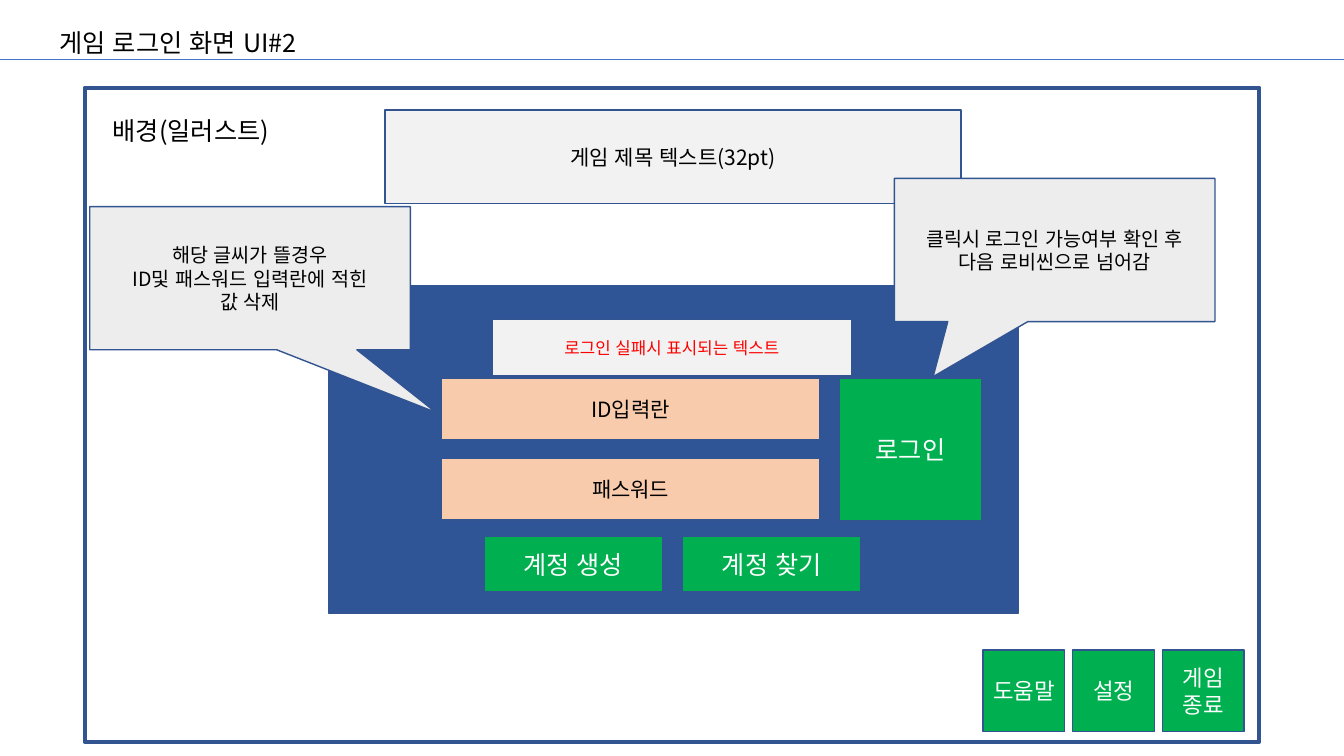
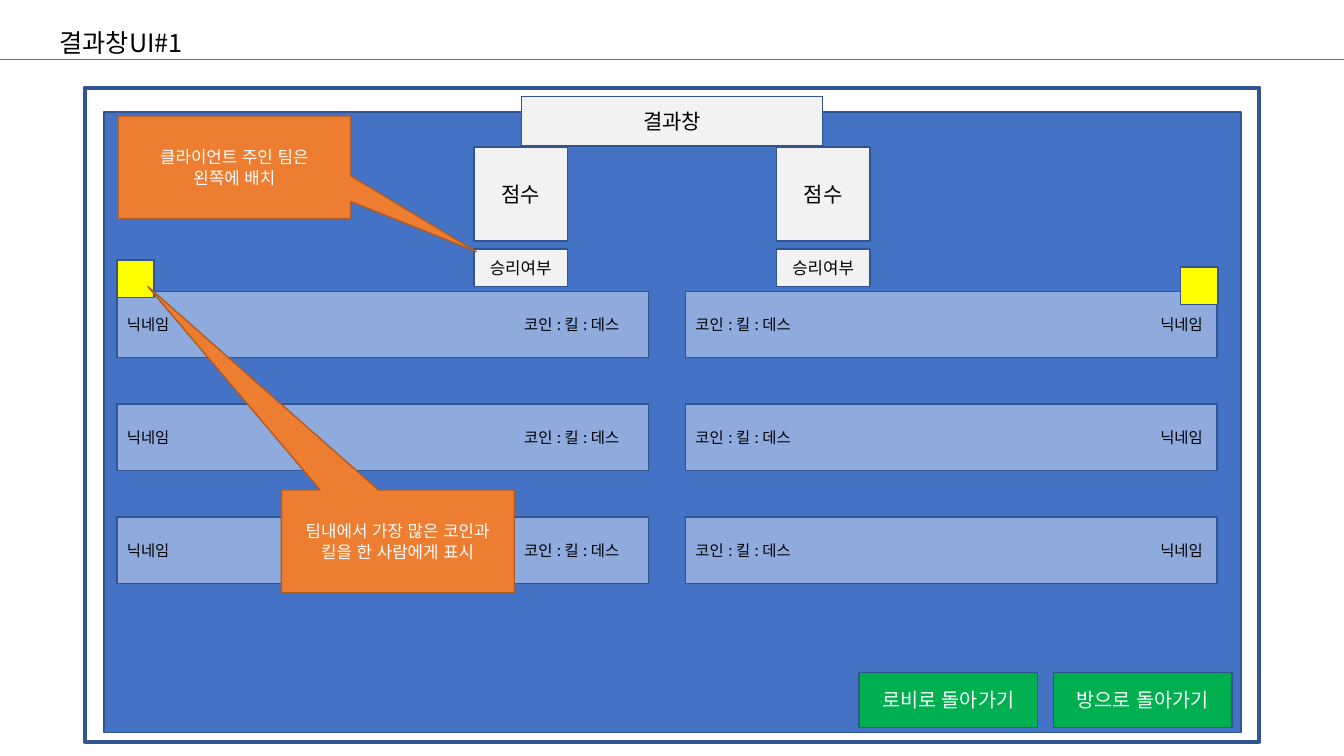
from dataclasses import dataclass
from typing import Optional

from lxml import etree
from pptx import Presentation
from pptx.dml.color import RGBColor
from pptx.enum.lang import MSO_LANGUAGE_ID
from pptx.enum.shapes import MSO_CONNECTOR, MSO_SHAPE
from pptx.enum.text import MSO_ANCHOR, MSO_AUTO_SIZE, PP_ALIGN
from pptx.oxml.ns import qn
from pptx.util import Inches, Pt

RECT, CALLOUT = MSO_SHAPE.RECTANGLE, MSO_SHAPE.RECTANGULAR_CALLOUT
STRAIGHT = MSO_CONNECTOR.STRAIGHT
TOP, MIDDLE = MSO_ANCHOR.TOP, MSO_ANCHOR.MIDDLE
LEFT, CENTER = PP_ALIGN.LEFT, PP_ALIGN.CENTER
NO_FIT = MSO_AUTO_SIZE.NONE
KOREAN = MSO_LANGUAGE_ID.KOREAN

FONT = "Noto Sans CJK KR"
COLORS = {
    "white": "FFFFFF", "black": "000000", "red": "FF0000", "yellow": "FFFF00",
    "outline": "325491", "rule": "4472C4", "panel": "4472C4", "login": "2F5597",
    "row": "8FAADC", "label": "F2F2F2", "note": "EDEDED", "input": "F8CBAD",
    "button": "00B050", "orange": "ED7D31", "orange_line": "AF5C24",
}


@dataclass
class Box:
    """A filled rectangle, or a callout when it has a pointer."""
    x: float
    y: float
    w: float
    h: float
    fill: str
    text: str = ""
    size: float = 15
    color: str = "black"
    align: PP_ALIGN = CENTER
    line: str = "outline"
    line_width: float = 1
    pointer: Optional[tuple[float, float]] = None


def rgb(name: str) -> RGBColor:
    return RGBColor.from_string(COLORS[name])


def write(tf, text: str, size: float, color: str, align: PP_ALIGN, anchor: MSO_ANCHOR) -> None:
    tf.word_wrap = True
    tf.auto_size = NO_FIT
    tf.vertical_anchor = anchor
    for i, words in enumerate(text.split("\n")):
        p = tf.add_paragraph() if i else tf.paragraphs[0]
        p.alignment = align
        p.line_spacing = 1.0
        r = p.add_run()
        r.text = words
        r.font.name = FONT
        r.font.size = Pt(size)
        r.font.color.rgb = rgb(color)
        r.font.language_id = KOREAN
        etree.SubElement(r.font._element, qn("a:ea"), typeface=FONT)


def draw(s, box: Box) -> None:
    kind = CALLOUT if box.pointer else RECT
    sp = s.shapes.add_shape(kind, Inches(box.x), Inches(box.y), Inches(box.w), Inches(box.h))
    sp.shadow.inherit = False
    sp.fill.solid()
    sp.fill.fore_color.rgb = rgb(box.fill)
    sp.line.color.rgb = rgb(box.line)
    sp.line.width = Pt(box.line_width)
    if box.pointer:
        sp.adjustments[0], sp.adjustments[1] = box.pointer
    if box.text:
        write(sp.text_frame, box.text, box.size, box.color, box.align, MIDDLE)


def label(s, x: float, y: float, w: float, h: float, text: str, size: float) -> None:
    sp = s.shapes.add_textbox(Inches(x), Inches(y), Inches(w), Inches(h))
    write(sp.text_frame, text, size, "black", LEFT, TOP)


def button(x: float, y: float, w: float, h: float, text: str, size: float) -> Box:
    return Box(x, y, w, h, "button", text, size, "white")


def note(x: float, y: float, text: str, pointer: tuple[float, float]) -> Box:
    return Box(x, y, 3.18, 1.42, "note", text, 14, pointer=pointer)


def orange_note(x: float, y: float, text: str, pointer: tuple[float, float]) -> Box:
    return Box(x, y, 2.31, 1.02, "orange", text, 12, "white",
               line="orange_line", pointer=pointer)


def new_slide(prs, title: str, title_width: float):
    """Add a slide with the shared title, rule and screen frame."""
    s = prs.slides.add_slide(prs.slide_layouts[5])
    sp = s.shapes.title
    sp.left, sp.top = Inches(0.49), Inches(0.22)
    sp.width, sp.height = Inches(title_width), Inches(0.4)
    write(sp.text_frame, title, 18, "black", LEFT, TOP)
    draw(s, Box(0.84, 0.87, 11.65, 6.49, "white", line_width=3))
    rule = s.shapes.add_connector(STRAIGHT, 0, Inches(0.59), Inches(13.33), Inches(0.59))
    rule.line.color.rgb = rgb("rule")
    rule.line.width = Pt(0.5)
    etree.SubElement(rule._element.spPr, qn("a:effectLst"))
    return s


def login_slide(prs) -> None:
    s = new_slide(prs, "게임 로그인 화면 UI#2", 2.77)
    label(s, 1.02, 1.09, 1.87, 0.4, "배경(일러스트)", 18)

    # Login panel and game title
    draw(s, Box(3.26, 2.83, 6.84, 3.25, "login"))
    draw(s, Box(3.82, 1.09, 5.71, 0.93, "label", "게임 제목 텍스트(32pt)"))
    draw(s, button(8.32, 3.75, 1.42, 1.42, "로그인", 18))
    for i, text in enumerate(("ID입력란", "패스워드")):
        draw(s, Box(4.38, 3.75 + 0.8 * i, 3.75, 0.61, "input", text))
    for i, text in enumerate(("계정 생성", "계정 찾기")):
        draw(s, button(4.8 + 1.97 * i, 5.32, 1.77, 0.55, text, 18))

    # Corner menu
    for i, text in enumerate(("도움말", "설정", "게임\n종료")):
        draw(s, button(9.75 + 0.89 * i, 6.45, 0.81, 0.81, text, 16))

    # Failure message and notes
    draw(s, note(8.87, 1.77, "클릭시 로그인 가능여부 확인 후\n다음 로비씬으로 넘어감", (-0.379, 0.885)))
    draw(s, Box(4.88, 3.17, 3.57, 0.56, "label", "로그인 실패시 표시되는 텍스트", 12, "red"))
    draw(s, note(0.89, 2.05, "해당 글씨가 뜰경우\nID및 패스워드 입력란에 적힌\n값 삭제", (0.58, 0.938)))


def result_slide(prs) -> None:
    s = new_slide(prs, "결과창UI#1", 1.5)
    nickname, stats = "닉네임", "코인 : 킬 : 데스"

    # Result panel
    draw(s, Box(1.03, 1.11, 11.28, 6.16, "panel"))
    draw(s, Box(5.17, 0.96, 2.99, 0.49, "label", "결과창"))
    for i, text in enumerate(("로비로 돌아가기", "방으로 돌아가기")):
        draw(s, button(8.52 + 1.93 * i, 6.67, 1.77, 0.55, text, 14))

    # Team scores
    for x in (4.7, 7.7):
        draw(s, Box(x, 1.46, 0.93, 0.93, "label", "점수"))
        draw(s, Box(x, 2.47, 0.93, 0.37, "label", "승리여부", 12))

    # Player rows, mirrored between the teams
    teams = ((1.16, nickname, 5.1, 1.26, stats), (6.8, stats, 11.41, 0.66, nickname))
    for x, row_text, label_x, label_w, label_text in teams:
        for i in range(3):
            y = 2.89 + 1.12 * i
            draw(s, Box(x, y, 5.27, 0.66, "row", row_text, 11, align=LEFT))
            label(s, label_x, y + 0.19, label_w, 0.29, label_text, 11)

    # Best-player markers and notes
    draw(s, orange_note(1.17, 1.15, "클라이언트 주인 팀은\n왼쪽에 배치", (1.039, 0.82)))
    for x, y in ((1.16, 2.58), (11.71, 2.65)):
        draw(s, Box(x, y, 0.37, 0.37, "yellow"))
    draw(s, orange_note(2.79, 4.86, "팀내에서 가장 많은 코인과\n킬을 한 사람에게 표시", (-1.073, -2.478)))


prs = Presentation()
prs.slide_width, prs.slide_height = Inches(13.33), Inches(7.5)
login_slide(prs)
result_slide(prs)
prs.save("out.pptx")
